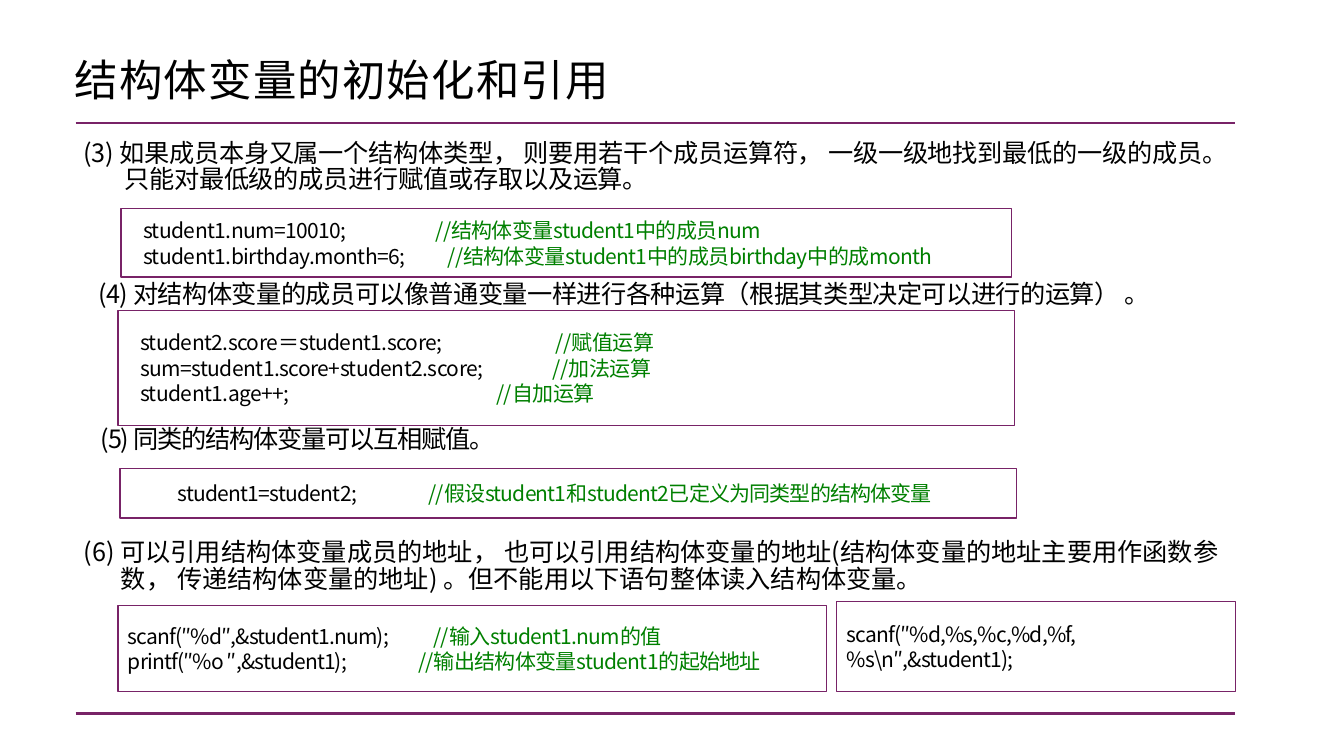
from dataclasses import dataclass

from lxml.etree import SubElement
from pptx import Presentation
from pptx.dml.color import RGBColor
from pptx.enum.shapes import MSO_CONNECTOR, MSO_SHAPE
from pptx.enum.text import MSO_ANCHOR, PP_ALIGN
from pptx.oxml.ns import qn
from pptx.util import Inches, Pt

FONT = "Noto Sans CJK SC"
BLACK, GREEN, PURPLE, WHITE = "000000", "008000", "782367", "FFFFFF"


@dataclass
class Statement:
    """A text box on the page; lengths are in inches."""
    text: str
    left: float
    top: float
    width: float
    height: float
    size: float = 18
    tracking: float = 0
    line_spacing: float = 0.9
    inset_top: float = 0
    hanging: float = 0
    align: PP_ALIGN = PP_ALIGN.LEFT


@dataclass
class CodeLine:
    code: str
    comment: str = ""
    comment_at: float = 0


@dataclass
class CodeBox:
    left: float
    top: float
    width: float
    height: float
    lines: list[CodeLine]
    inset_left: float = 0.1
    code_tracking: float = -0.4
    comment_tracking: float = -0.5
    border: float = 1


STATEMENTS = [
    Statement("结构体变量的初始化和引用", 0.74, 0.59, 5.35, 0.54, size=31, tracking=0.9),
    Statement("(3) 如果成员本身又属一个结构体类型， 则要用若干个成员运算符， 一级一级地找到最低的"
              "一级的成员。 只能对最低级的成员进行赋值或存取以及运算。",
              0.82, 1.35, 11.34, 0.67, tracking=-0.2, line_spacing=0.88,
              inset_top=0.05, hanging=0.36),
    Statement("(4) 对结构体变量的成员可以像普通变量一样进行各种运算"
              "（根据其类型决定可以进行的运算） 。",
              0.82, 2.79, 10.58, 0.31, tracking=-0.4, align=PP_ALIGN.RIGHT),
    Statement("(5) 同类的结构体变量可以互相赋值。",
              0.82, 4.23, 4.08, 0.31, tracking=-0.9, align=PP_ALIGN.RIGHT),
    Statement("(6) 可以引用结构体变量成员的地址， 也可以引用结构体变量的地址"
              "(结构体变量的地址主要用作函数参 数， 传递结构体变量的地址) 。"
              "但不能用以下语句整体读入结构体变量。",
              0.82, 5.31, 11.37, 0.67, line_spacing=0.88, inset_top=0.05, hanging=0.38),
]

CODE_BOXES = [
    CodeBox(1.2, 2.07, 8.83, 0.68, [
        CodeLine("student1.num=10010;", "//结构体变量student1中的成员num", 2.9),
        CodeLine("student1.birthday.month=6;",
                 "//结构体变量student1中的成员birthday中的成month", 3.02),
    ], inset_left=0.22),
    CodeBox(1.17, 3.08, 8.89, 1.14, [
        CodeLine("student2.score＝student1.score;", "//赋值运算", 4.12),
        CodeLine("sum=student1.score+student2.score;", "//加法运算", 4.09),
        CodeLine("student1.age++;", "//自加运算", 3.53),
    ], inset_left=0.22, comment_tracking=-0.3),
    CodeBox(1.19, 4.65, 8.89, 0.49, [
        CodeLine("student1=student2;", "//假设student1和student2已定义为同类型的结构体变量", 2.49),
    ], inset_left=0.57, code_tracking=-0.5, comment_tracking=-0.6),
    CodeBox(1.17, 6.01, 7.03, 0.85, [
        CodeLine("scanf(″%d″,&student1.num);", "//输入student1.num的值", 3.03),
        CodeLine("printf(″%o ″,&student1);", "//输出结构体变量student1的起始地址", 2.88),
    ], code_tracking=-0.6),
    CodeBox(8.3, 5.97, 3.95, 0.89, [
        CodeLine("scanf(″%d,%s,%c,%d,%f,%s\\n″,&student1);"),
    ], code_tracking=-0.6, border=0),
]


def color(value: str) -> RGBColor:
    return RGBColor.from_string(value)


def style_span(span, size: float, ink: str, tracking: float) -> None:
    span.font.size = Pt(size)
    span.font.name = FONT
    span.font.color.rgb = color(ink)
    properties = span._r.get_or_add_rPr()
    properties.set("spc", str(round(tracking * 100)))
    SubElement(properties, qn("a:ea")).set("typeface", FONT)


def set_frame(frame, left: float, top: float, right: float) -> None:
    frame.word_wrap = True
    frame.margin_left, frame.margin_top = Inches(left), Inches(top)
    frame.margin_right, frame.margin_bottom = Inches(right), 0


def draw_statement(page, item: Statement) -> None:
    box = page.shapes.add_textbox(Inches(item.left), Inches(item.top),
                                  Inches(item.width), Inches(item.height))
    set_frame(box.text_frame, 0, item.inset_top, 0)
    box.text_frame.text = item.text
    para = box.text_frame.paragraphs[0]
    para.alignment = item.align
    para.line_spacing = item.line_spacing
    if item.hanging:
        properties = para._p.get_or_add_pPr()
        properties.set("marL", str(Inches(item.hanging)))
        properties.set("indent", str(-Inches(item.hanging - 0.01)))
    style_span(para.runs[0], item.size, BLACK, item.tracking)


def draw_rule(page, y: float) -> None:
    rule = page.shapes.add_connector(MSO_CONNECTOR.STRAIGHT, Inches(0.75), Inches(y),
                                     Inches(12.25), Inches(y))
    rule.line.color.rgb = color(PURPLE)
    rule.line.width = Pt(2)
    SubElement(rule._element.spPr, qn("a:effectLst"))


def draw_code_box(page, item: CodeBox) -> None:
    box = page.shapes.add_shape(MSO_SHAPE.RECTANGLE, Inches(item.left), Inches(item.top),
                                Inches(item.width), Inches(item.height))
    box.shadow.inherit = False
    box.fill.solid()
    box.fill.fore_color.rgb = color(WHITE)
    box.line.color.rgb = color(PURPLE)
    box.line.width = Pt(item.border)
    frame = box.text_frame
    set_frame(frame, item.inset_left, 0, 0.1)
    frame.vertical_anchor = MSO_ANCHOR.MIDDLE
    for index, line in enumerate(item.lines):
        para = frame.add_paragraph() if index else frame.paragraphs[0]
        para.alignment = PP_ALIGN.LEFT
        para.line_spacing = Pt(18.2)
        code = para.add_run()
        code.text = line.code
        style_span(code, 15, BLACK, item.code_tracking)
        if line.comment:
            # The tab stop places the comment
            stops = SubElement(para._p.get_or_add_pPr(), qn("a:tabLst"))
            SubElement(stops, qn("a:tab"), pos=str(Inches(line.comment_at)), algn="l")
            comment = para.add_run()
            comment.text = "\t" + line.comment
            style_span(comment, 15, GREEN, item.comment_tracking)


def main() -> None:
    deck = Presentation()
    deck.slide_width, deck.slide_height = Inches(13.33), Inches(7.5)
    page = deck.slides.add_slide(deck.slide_layouts[6])

    # Title and numbered statements
    for statement in STATEMENTS:
        draw_statement(page, statement)

    # Rules under the title and at the foot
    for y in (1.22, 7.08):
        draw_rule(page, y)

    # Framed code samples
    for code_box in CODE_BOXES:
        draw_code_box(page, code_box)

    deck.save("out.pptx")


if __name__ == "__main__":
    main()
